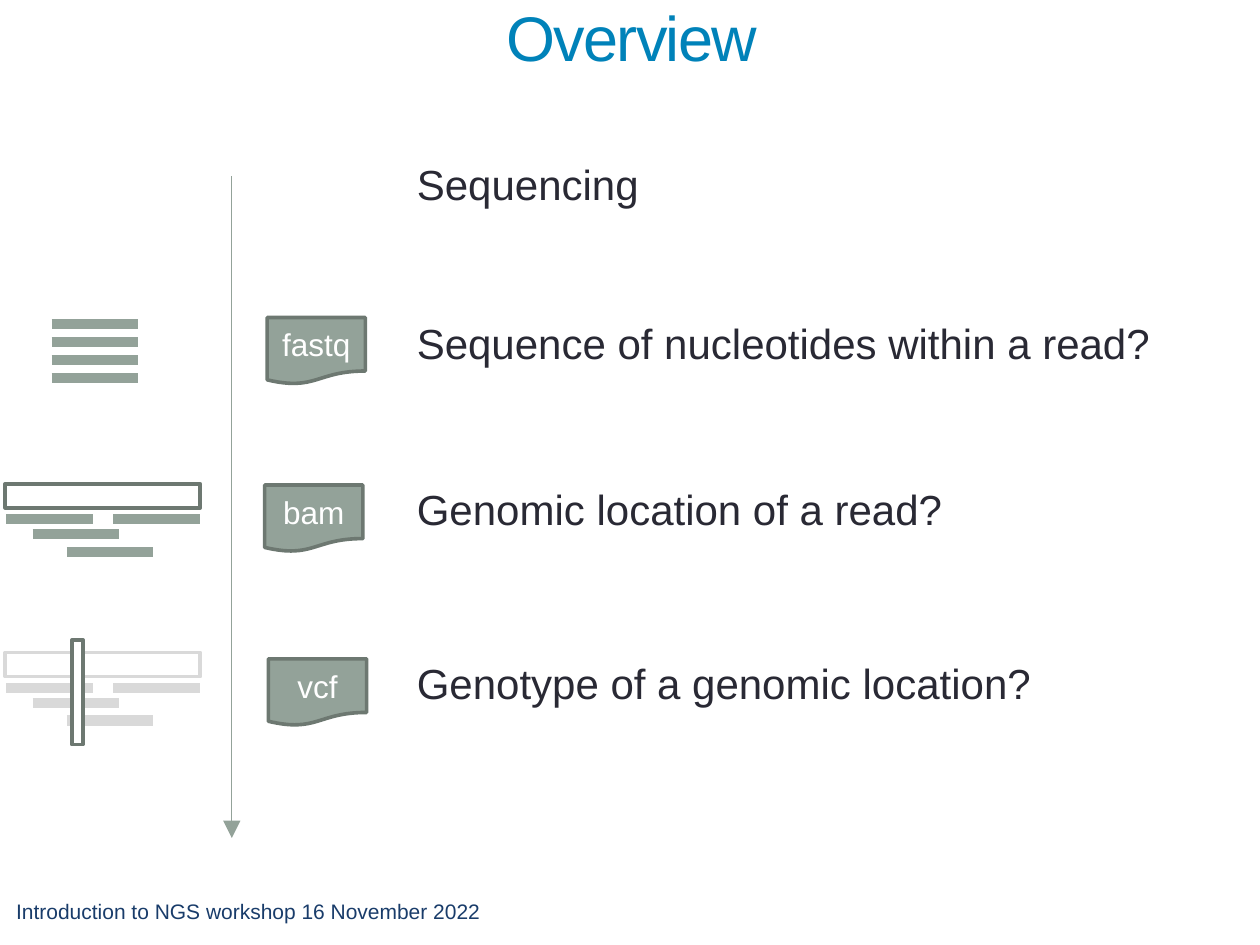
from dataclasses import dataclass

from lxml import etree
from pptx import Presentation
from pptx.dml.color import RGBColor
from pptx.enum.shapes import MSO_CONNECTOR, MSO_SHAPE
from pptx.enum.text import MSO_ANCHOR, MSO_AUTO_SIZE, PP_ALIGN
from pptx.oxml.ns import qn
from pptx.util import Inches, Pt

STRAIGHT = MSO_CONNECTOR.STRAIGHT
RECTANGLE, DOCUMENT = MSO_SHAPE.RECTANGLE, MSO_SHAPE.FLOWCHART_DOCUMENT
LEFT, CENTER = PP_ALIGN.LEFT, PP_ALIGN.CENTER
TOP, MIDDLE = MSO_ANCHOR.TOP, MSO_ANCHOR.MIDDLE
FIT_SHAPE, NO_FIT = MSO_AUTO_SIZE.SHAPE_TO_FIT_TEXT, MSO_AUTO_SIZE.NONE

# The slide is a grid of square cells
COLUMNS, ROWS = 100, 75
CELL = Inches(0.1)


@dataclass(frozen=True)
class Theme:
    font: str = "Arial"
    title: str = "0082B9"
    body: str = "292934"
    footer: str = "193C6A"
    accent: str = "93A299"
    outline: str = "6D7871"
    faded: str = "D9D9D9"
    paper: str = "FFFFFF"
    title_size: float = 36
    body_size: float = 24
    label_size: float = 18
    footer_size: float = 12
    read_width: float = 6
    outline_width: float = 2.08
    axis_width: float = 0.75


@dataclass(frozen=True)
class Box:
    """A rectangle in grid columns and rows."""
    column: float
    row: float
    width: float
    height: float

    def lengths(self) -> list[int]:
        return [cells(v) for v in (self.column, self.row, self.width, self.height)]


@dataclass(frozen=True)
class Question:
    text: str
    row: float
    width: float


@dataclass(frozen=True)
class FileType:
    name: str
    column: float
    row: float


THEME = Theme()
QUESTION_COLUMN, TEXT_HEIGHT = 32.1, 5
FILE_WIDTH, FILE_HEIGHT = 7.8, 5.3
READ_LENGTH = 6.85
QUESTIONS = [
    Question("Sequencing", 12.1, 19.8),
    Question("Sequence of nucleotides within a read?", 24.7, 62),
    Question("Genomic location of a read?", 37.9, 44.1),
    Question("Genotype of a genomic location?", 51.7, 51.3),
]
FILE_TYPES = [
    FileType("fastq", 21.2, 25.2),
    FileType("bam", 21, 38.5),
    FileType("vcf", 21.3, 52.3),
]
# Column of each aligned read and its rows below the top of the reference
ALIGNED_READS = [(0.5, 2.8), (9, 2.8), (2.6, 4), (5.3, 5.4)]


def cells(count: float) -> int:
    return round(count * CELL)


def add_text(shape, text: str, *, size: float, color: str, align=LEFT,
             anchor=TOP, wrap: bool = False, fit=FIT_SHAPE, spacing: float = 0) -> None:
    frame = shape.text_frame
    frame.word_wrap = wrap
    frame.auto_size = fit
    frame.vertical_anchor = anchor
    paragraph = frame.paragraphs[0]
    paragraph.alignment = align
    run = paragraph.add_run()
    run.text = text
    run.font.name = THEME.font
    run.font.size = Pt(size)
    run.font.color.rgb = RGBColor.from_string(color)
    if spacing:
        run.font._element.set("spc", str(round(spacing * 100)))


def add_outlined(slide, kind, box: Box, *, line: str, fill: str | None = None):
    shape = slide.shapes.add_shape(kind, *box.lengths())
    shape.shadow.inherit = False
    if fill:
        shape.fill.solid()
        shape.fill.fore_color.rgb = RGBColor.from_string(fill)
    else:
        shape.fill.background()
    shape.line.color.rgb = RGBColor.from_string(line)
    shape.line.width = Pt(THEME.outline_width)
    return shape


def add_line(slide, start: tuple[float, float], end: tuple[float, float], *,
             color: str, width: float, arrow: bool = False) -> None:
    connector = slide.shapes.add_connector(STRAIGHT, *map(cells, start + end))
    connector.line.color.rgb = RGBColor.from_string(color)
    connector.line.width = Pt(width)
    if arrow:
        etree.SubElement(connector.line._get_or_add_ln(), qn("a:tailEnd"),
                         type="triangle", w="lg", len="lg")
    etree.SubElement(connector._element.spPr, qn("a:effectLst"))


def add_read(slide, column: float, row: float, color: str) -> None:
    add_line(slide, (column, row), (column + READ_LENGTH, row),
             color=color, width=THEME.read_width)


def add_alignment(slide, row: float, *, reads: str, reference: str) -> None:
    """Draw a reference bar with the reads aligned below it."""
    for column, offset in ALIGNED_READS:
        add_read(slide, column, row + offset, reads)
    add_outlined(slide, RECTANGLE, Box(0.4, row, 15.5, 1.9), line=reference)


def add_question(slide, question: Question) -> None:
    box = Box(QUESTION_COLUMN, question.row, question.width, TEXT_HEIGHT)
    shape = slide.shapes.add_textbox(*box.lengths())
    shape.fill.solid()
    shape.fill.fore_color.rgb = RGBColor.from_string(THEME.paper)
    add_text(shape, question.text, size=THEME.body_size, color=THEME.body)


def add_file(slide, file_type: FileType) -> None:
    box = Box(file_type.column, file_type.row, FILE_WIDTH, FILE_HEIGHT)
    shape = add_outlined(slide, DOCUMENT, box, line=THEME.outline, fill=THEME.accent)
    add_text(shape, file_type.name, size=THEME.label_size, color=THEME.paper,
             align=CENTER, anchor=MIDDLE, wrap=True, fit=NO_FIT)


def main() -> None:
    presentation = Presentation()
    presentation.slide_width = cells(COLUMNS)
    presentation.slide_height = cells(ROWS)
    slide = presentation.slides.add_slide(presentation.slide_layouts[6])

    footer = slide.shapes.add_textbox(*Box(0.3, 70.8, 39.1, TEXT_HEIGHT).lengths())
    add_text(footer, "Introduction to NGS workshop 16 November 2022",
             size=THEME.footer_size, color=THEME.footer)
    title = slide.shapes.add_textbox(*Box(0.3, -0.5, 99.7, 6.8).lengths())
    add_text(title, "Overview", size=THEME.title_size, color=THEME.title,
             align=CENTER, anchor=MIDDLE, wrap=True, fit=NO_FIT, spacing=-1)

    add_line(slide, (18.4, 14), (18.4, 66.5), color=THEME.accent,
             width=THEME.axis_width, arrow=True)
    for index in range(4):
        add_read(slide, 4.1, 25.7 + 1.43 * index, THEME.accent)
    add_alignment(slide, 38.4, reads=THEME.accent, reference=THEME.outline)
    add_alignment(slide, 51.8, reads=THEME.faded, reference=THEME.faded)
    add_outlined(slide, RECTANGLE, Box(5.7, 50.8, 0.9, 8.3),
                 line=THEME.outline, fill=THEME.paper)

    for question in QUESTIONS:
        add_question(slide, question)
    for file_type in FILE_TYPES:
        add_file(slide, file_type)
    presentation.save("out.pptx")


if __name__ == "__main__":
    main()
